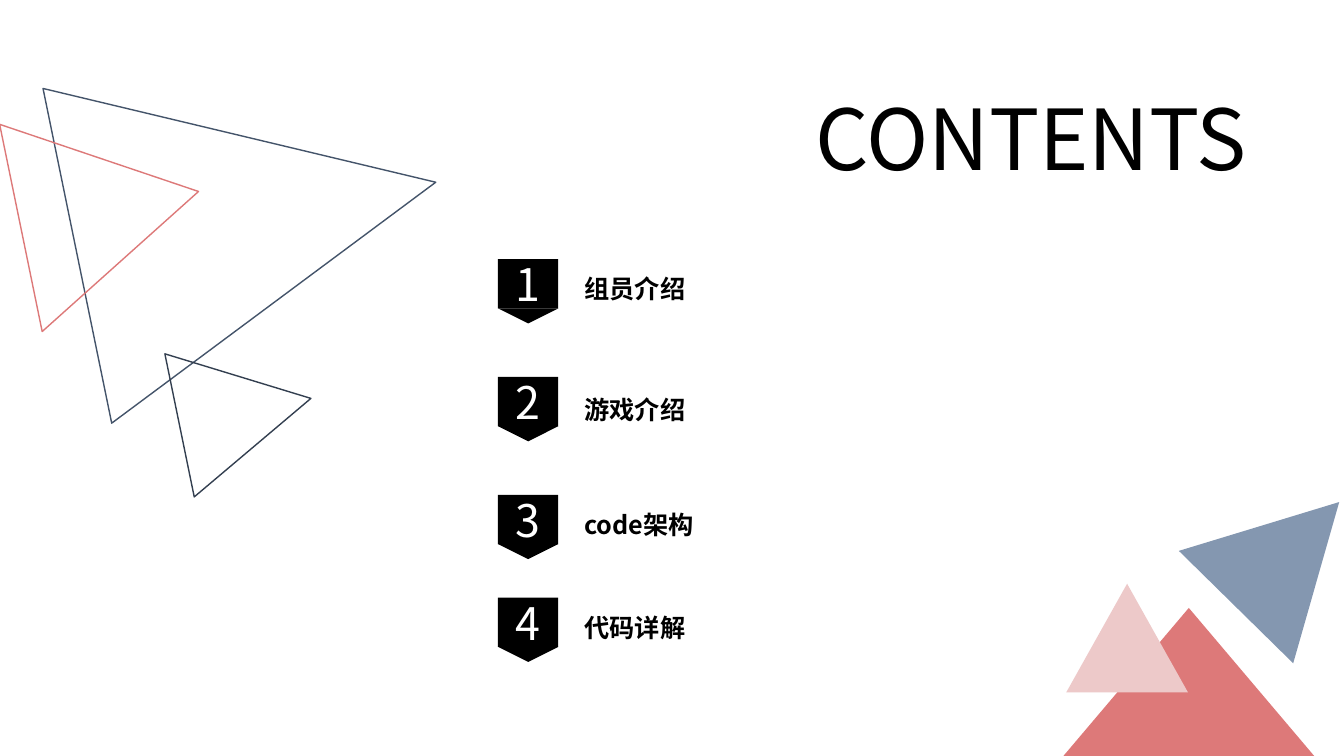
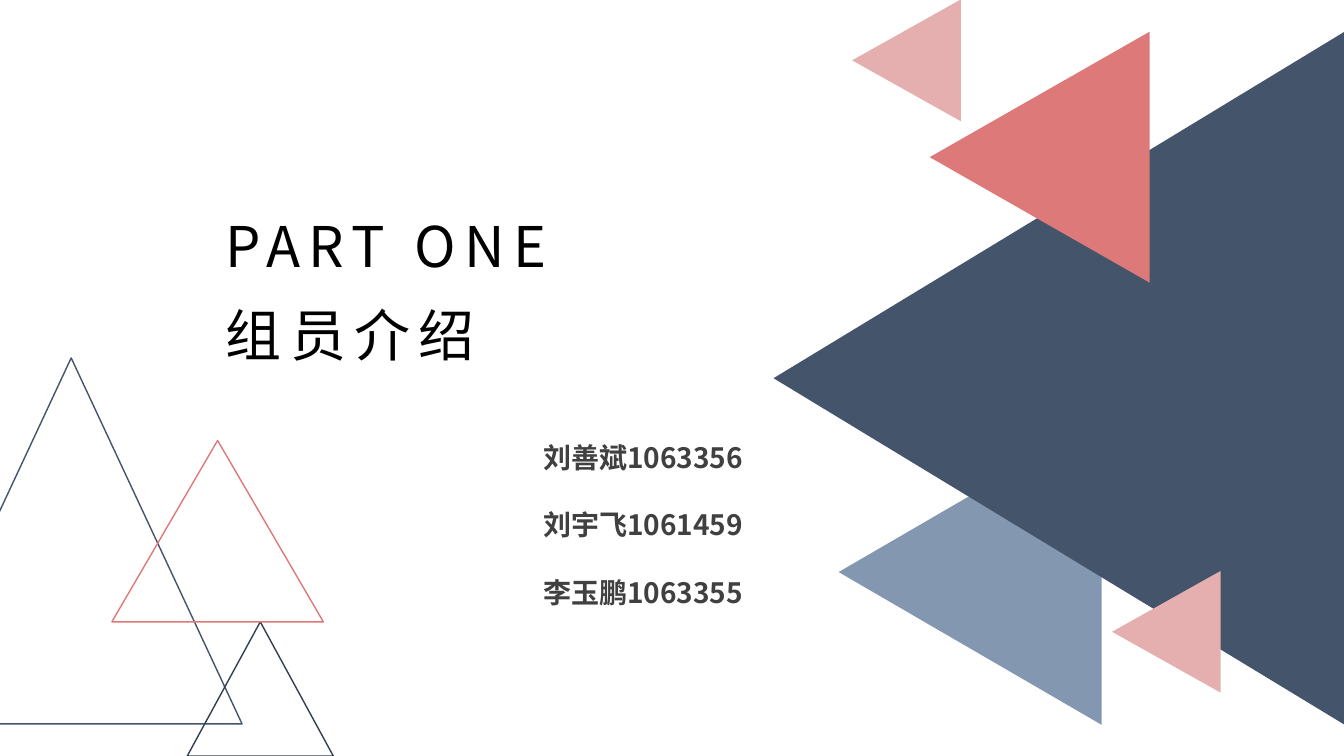
from lxml import etree
from pptx import Presentation
from pptx.dml.color import RGBColor
from pptx.enum import shapes, text
from pptx.oxml.ns import qn
from pptx.util import Cm, Pt

FONT = "Noto Sans CJK SC"
COLOURS = {
    "black": "000000",
    "white": "FFFFFF",
    "grey": "404040",
    "navy": "44546A",
    "ink": "333F50",
    "steel": "8497B0",
    "coral": "DD7979",
    "rose": "E5AFAF",
    "blush": "EDC9C9",
}
OUTLINES = [
    ("navy", 8.61, 9.22),
    ("ink", 3.68, 3.38),
    ("coral", 5.33, 4.57),
]
TITLE_ONLY = 5


class Deck:
    def __init__(self):
        self.prs = Presentation()
        self.prs.slide_width = Cm(33.87)
        self.prs.slide_height = Cm(19.05)
        self.slide = None

    def colour(self, name):
        return RGBColor.from_string(COLOURS[name])

    def new_slide(self):
        self.slide = self.prs.slides.add_slide(self.prs.slide_layouts[TITLE_ONLY])

    def set_text(self, shape, lines, size, colour="black", bold=False, align="LEFT",
                 line_spacing=1.0, tracking=0, insets=(0.25, 0.13), anchor="TOP"):
        frame = shape.text_frame
        side, edge = map(Cm, insets)
        frame_format = {
            "word_wrap": True,
            "auto_size": text.MSO_AUTO_SIZE.NONE,
            "vertical_anchor": text.MSO_ANCHOR[anchor],
            "margin_left": side,
            "margin_right": side,
            "margin_top": edge,
            "margin_bottom": edge,
        }
        for name, value in frame_format.items():
            setattr(frame, name, value)
        font_format = {"name": FONT, "size": Pt(size), "bold": bold}
        for index, line in enumerate(lines):
            paragraph = frame.add_paragraph() if index else frame.paragraphs[0]
            paragraph.alignment = text.PP_ALIGN[align]
            paragraph.line_spacing = line_spacing
            run = paragraph.add_run()
            run.text = line
            for name, value in font_format.items():
                setattr(run.font, name, value)
            run.font.color.rgb = self.colour(colour)
            properties = run.font._element
            properties.set("spc", str(tracking * 100))
            east_asian = etree.SubElement(properties, qn("a:ea"))
            east_asian.set("typeface", FONT)

    def title(self, box, wording, size, **style):
        title = self.slide.shapes.title
        for name, value in zip(("left", "top", "width", "height"), box):
            setattr(title, name, Cm(value))
        self.set_text(title, [wording], size, **style)

    def label(self, box, lines, size, **style):
        label = self.slide.shapes.add_textbox(*map(Cm, box))
        self.set_text(label, lines, size, **style)

    def shape(self, kind, box, fill=None, line=None, rotation=0):
        shape = self.slide.shapes.add_shape(kind, *map(Cm, box))
        shape.shadow.inherit = False
        shape.rotation = rotation
        if fill:
            shape.fill.solid()
            shape.fill.fore_color.rgb = self.colour(fill)
        else:
            shape.fill.background()
        if line:
            shape.line.color.rgb = self.colour(line)
            shape.line.width = Pt(1)
        else:
            shape.line.fill.background()
        return shape

    def triangle(self, box, **style):
        return self.shape(shapes.MSO_SHAPE.ISOSCELES_TRIANGLE, box, **style)

    def outlines(self, places, rotation=0):
        for (line, width, height), place in zip(OUTLINES, places):
            self.triangle((*place, width, height), line=line, rotation=rotation)

    def marker(self, left, top, number):
        width, height, tip = 1.52, 1.24, 0.38
        block = self.shape(shapes.MSO_SHAPE.RECTANGLE, (left, top, width, height), fill="black")
        self.set_text(block, [str(number)], 32, colour="white", align="CENTER", anchor="MIDDLE")
        self.triangle((left, top + height, width, tip), fill="black", rotation=180)


deck = Deck()

deck.new_slide()
deck.outlines([(2.16, 0.91), (4.34, 8.69), (0.1, 3)], rotation=78.4)
deck.triangle((26.8, 15.32, 6.32, 3.73), fill="coral")
deck.triangle((26.87, 14.71, 3.07, 2.74), fill="blush")
deck.triangle((30.43, 12.12, 4.04, 3.71), fill="steel", rotation=44.5)
deck.title((19.41, 2.06, 13.13, 2.82), "CONTENTS", 60, align="CENTER")
chapters = [
    ("组员介绍", 6.53, 6.53),
    ("游戏介绍", 9.5, 9.58),
    ("code架构", 12.47, 12.47),
    ("代码详解", 15.06, 15.06),
]
for number, (chapter, marker_top, label_top) in enumerate(chapters, 1):
    deck.marker(12.55, marker_top, number)
    deck.label((14.48, label_top, 9.04, 1.17), [chapter], 18, bold=True, line_spacing=1.3)

deck.new_slide()
arrowheads = [
    ("steel", (20.6, 11.1, 7.7, 6.63)),
    ("navy", (17.96, 2.34, 17.45, 14.38)),
    ("coral", (23.04, 1.19, 6.32, 5.54)),
    ("rose", (21.31, 0.15, 3.07, 2.74)),
    ("rose", (27.86, 14.55, 3.07, 2.74)),
]
for fill, box in arrowheads:
    deck.triangle(box, fill=fill, rotation=270)
deck.outlines([(-2.51, 9.02), (4.72, 15.67), (2.82, 11.1)])
heading = {"size": 40, "tracking": 6, "insets": (0.33, 0.18)}
deck.title((5.36, 5.16, 11.58, 2.06), "PART ONE", **heading)
deck.label((5.36, 7.39, 11.58, 2.06), ["组员介绍"], **heading)
members = ["刘善斌1063356", "刘宇飞1061459", "李玉鹏1063355"]
deck.label((10.57, 10.13, 8.41, 5.38), members, 20, colour="grey", bold=True,
           align="RIGHT", line_spacing=2.0)

deck.prs.save("out.pptx")
